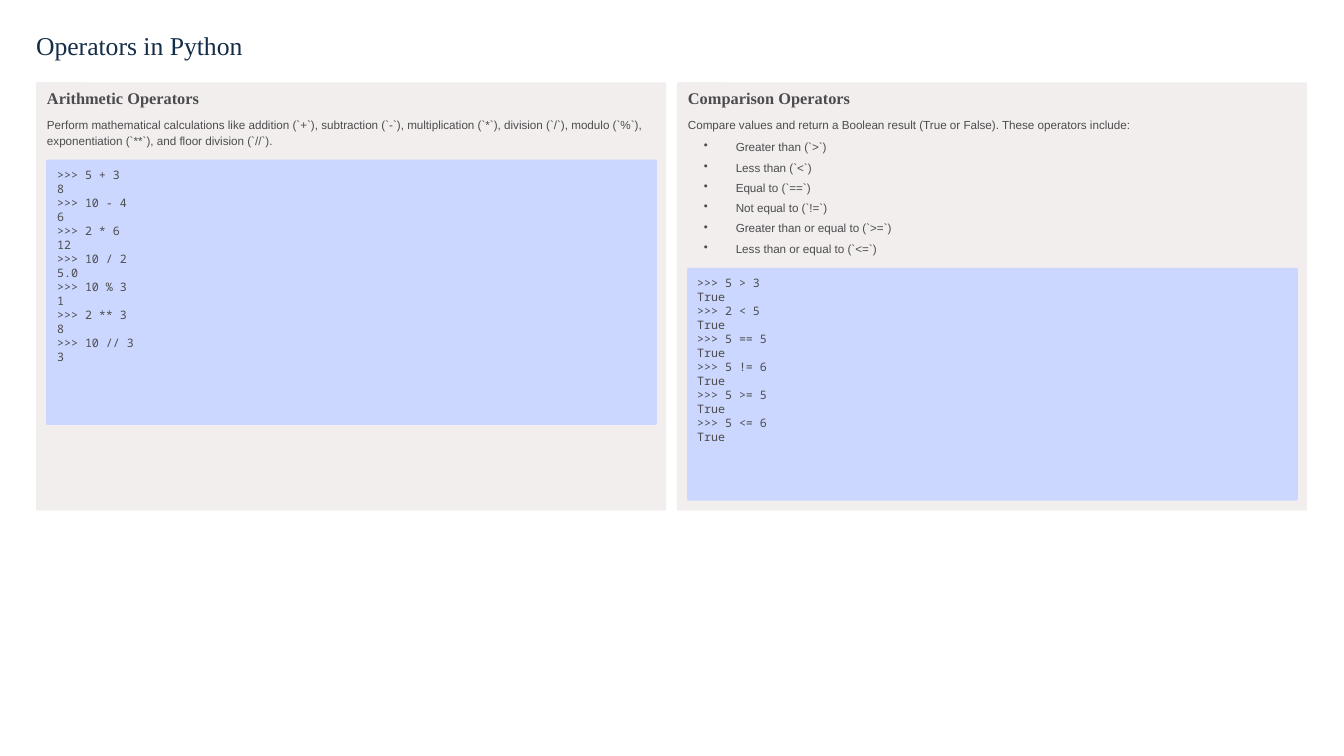
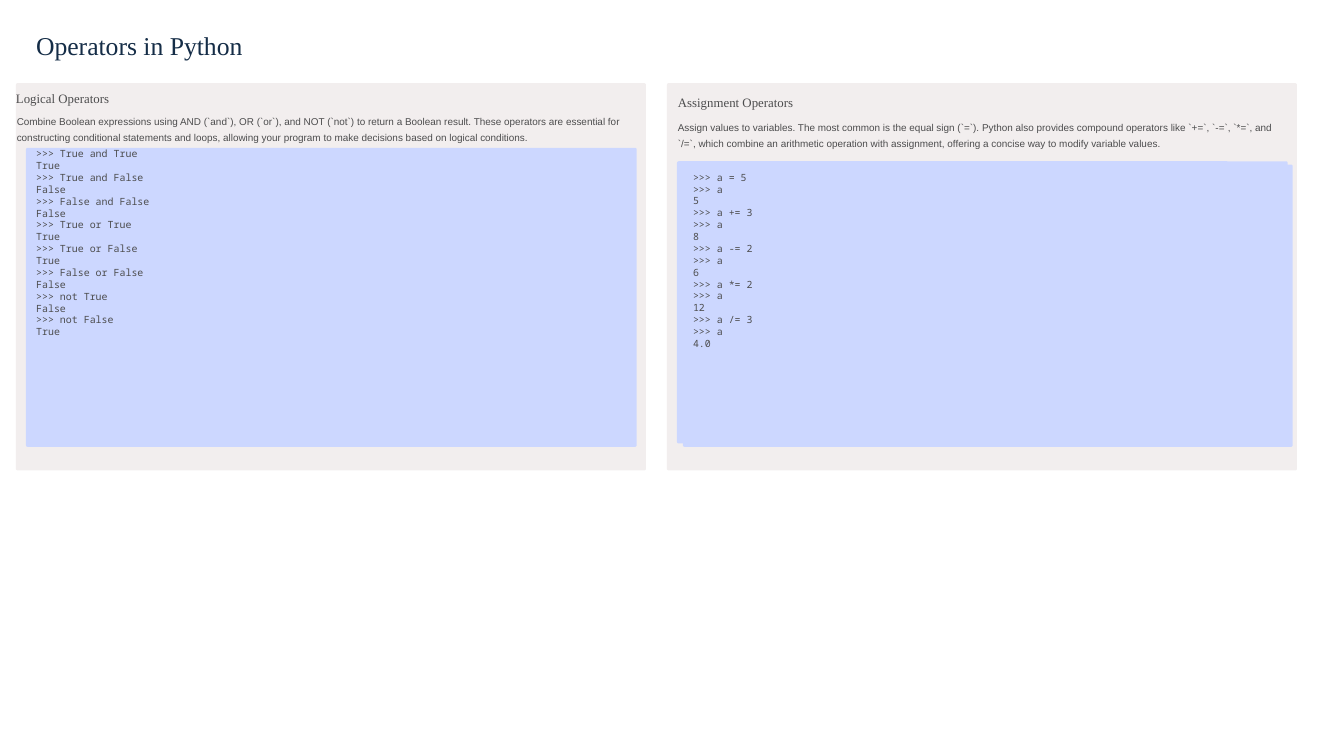
import lxml.etree
import pptx
import pptx.dml.color
import pptx.enum.shapes
import pptx.oxml.ns
import pptx.util

Inches = pptx.util.Inches
Pt = pptx.util.Pt
RGBColor = pptx.dml.color.RGBColor

# Shared style
NAVY = RGBColor(0x15, 0x2D, 0x47)
GRAY = RGBColor(0x4C, 0x4C, 0x4D)
PANEL_FILL = RGBColor(0xF2, 0xEE, 0xEE)
CODE_FILL = RGBColor(0xCC, 0xD7, 0xFF)
SERIF, SANS, MONO = "Times New Roman", "Arial", "Noto Sans Mono"
CORNER_RADIUS = 0.02
PANEL_WIDTH = 7.5
TEXT_WIDTH = 7.26
CODE_LEADING = 1.2

# Slide content: positions are left, top (and width, height for blocks)
ARITHMETIC = {
    "panel": (0.43, 0.98, PANEL_WIDTH, 5.1),
    "heading": "Arithmetic Operators",
    "heading_at": (0.56, 1.1),
    "text": "Perform mathematical calculations like addition (`+`), subtraction (`-`), "
            "multiplication (`*`), division (`/`), modulo (`%`), exponentiation (`**`), "
            "and floor division (`//`).",
    "text_at": (0.56, 1.37),
    "blocks": [(0.55, 1.9, 7.27, 3.16)],
    "code_at": (0.68, 2.0, 2.98),
    "code": """>>> 5 + 3
8
>>> 10 - 4
6
>>> 2 * 6
12
>>> 10 / 2
5.0
>>> 10 % 3
1
>>> 2 ** 3
8
>>> 10 // 3
3""",
}

COMPARISON = {
    "panel": (8.06, 0.98, PANEL_WIDTH, 5.1),
    "heading": "Comparison Operators",
    "heading_at": (8.19, 1.1),
    "text": "Compare values and return a Boolean result (True or False). "
            "These operators include:",
    "text_at": (8.19, 1.37),
    "bullets": ["Greater than (`>`)", "Less than (`<`)", "Equal to (`==`)",
                "Not equal to (`!=`)", "Greater than or equal to (`>=`)",
                "Less than or equal to (`<=`)"],
    "blocks": [(8.18, 3.19, 7.27, 2.77)],
    "code_at": (8.3, 3.28, 2.58),
    "code": """>>> 5 > 3
True
>>> 2 < 5
True
>>> 5 == 5
True
>>> 5 != 6
True
>>> 5 >= 5
True
>>> 5 <= 6
True""",
}

LOGICAL = {
    "panel": (0.19, 0.99, PANEL_WIDTH, 4.61),
    "heading": "Logical Operators",
    "heading_at": (0.19, 1.08),
    "text": "Combine Boolean expressions using AND (`and`), OR (`or`), and NOT (`not`) "
            "to return a Boolean result. These operators are essential for constructing "
            "conditional statements and loops, allowing your program to make decisions "
            "based on logical conditions.",
    "text_at": (0.2, 1.32),
    "blocks": [(0.31, 1.76, 7.27, 3.56)],
    "code_at": (0.43, 1.76, 3.37),
    "code": """>>> True and True
True
>>> True and False
False
>>> False and False
False
>>> True or True
True
>>> True or False
True
>>> False or False
False
>>> not True
False
>>> not False
True""",
}

ASSIGNMENT = {
    "panel": (7.94, 0.99, PANEL_WIDTH, 4.61),
    "heading": "Assignment Operators",
    "heading_at": (8.07, 1.12),
    "text": "Assign values to variables. The most common is the equal sign (`=`). "
            "Python also provides compound operators like `+=`, `-=`, `*=`, and `/=`, "
            "which combine an arithmetic operation with assignment, offering a concise "
            "way to modify variable values.",
    "text_at": (8.07, 1.39),
    "blocks": [(8.13, 1.96, 7.26, 3.36), (8.06, 1.92, 7.27, 3.36)],
    "code_at": (8.25, 2.04, 3.17),
    "code": """>>> a = 5
>>> a
5
>>> a += 3
>>> a
8
>>> a -= 2
>>> a
6
>>> a *= 2
>>> a
12
>>> a /= 3
>>> a
4.0""",
}


def add_block(page, left, top, width, height, color):
    """Add a borderless rectangle with slightly rounded corners."""
    block = page.shapes.add_shape(
        pptx.enum.shapes.MSO_SHAPE.ROUNDED_RECTANGLE,
        Inches(left), Inches(top), Inches(width), Inches(height))
    block.adjustments[0] = CORNER_RADIUS / min(width, height)
    block.shadow.inherit = False
    block.fill.solid()
    block.fill.fore_color.rgb = color
    block.line.fill.background()


def add_text(page, left, top, width, height, paragraphs, size, leading,
             font=SANS, color=GRAY, bold=False):
    """Add a text box without margins and return its paragraphs."""
    box = page.shapes.add_textbox(
        Inches(left), Inches(top), Inches(width), Inches(height))
    frame = box.text_frame
    frame.word_wrap = True
    frame.margin_left = frame.margin_right = 0
    frame.margin_top = frame.margin_bottom = 0
    for index, content in enumerate(paragraphs):
        para = frame.add_paragraph() if index else frame.paragraphs[0]
        para.text = content
        para.line_spacing = Pt(leading)
        para.font.name = font
        para.font.size = Pt(size)
        para.font.bold = bold
        para.font.color.rgb = color
    return frame.paragraphs


def add_bullets(page, left, top, items, size):
    """Add a bulleted list with a hanging indent."""
    for para in add_text(page, left, top, 7.06, 1.41, items, size, 14):
        para.space_after = Pt(3.4)
        properties = para._p.get_or_add_pPr()
        properties.set("marL", str(Inches(0.38)))
        properties.set("indent", str(-Inches(0.38)))
        bullet = lxml.etree.Element(pptx.oxml.ns.qn("a:buChar"), char="•")
        properties.find(pptx.oxml.ns.qn("a:defRPr")).addprevious(bullet)


def add_panel(page, content, heading_size, bold, text_size):
    """Add one operator group: heading, explanation and code sample."""
    add_block(page, *content["panel"], PANEL_FILL)
    add_text(page, *content["heading_at"], 2.0, 0.19, [content["heading"]],
             heading_size, 13.5, font=SERIF, bold=bold)
    add_text(page, *content["text_at"], TEXT_WIDTH, 0.4, [content["text"]],
             text_size, 14)
    if "bullets" in content:
        add_bullets(page, 8.38, 1.64, content["bullets"], text_size)
    for block in content["blocks"]:
        add_block(page, *block, CODE_FILL)
    left, top, height = content["code_at"]
    add_text(page, left, top, 7.02, height, [content["code"]],
             text_size, text_size * CODE_LEADING, font=MONO)


def add_page(deck, panels, heading_size, bold, text_size):
    """Add a titled slide with its panels."""
    page = deck.slides.add_slide(deck.slide_layouts[6])
    add_text(page, 0.43, 0.34, 3.1, 0.39, ["Operators in Python"], 22, 27.5,
             font=SERIF, color=NAVY)
    for content in panels:
        add_panel(page, content, heading_size, bold, text_size)


def main():
    deck = pptx.Presentation()
    deck.slide_width = Inches(16)
    deck.slide_height = Inches(9)
    add_page(deck, [ARITHMETIC, COMPARISON], heading_size=14, bold=True, text_size=10)
    add_page(deck, [LOGICAL, ASSIGNMENT], heading_size=11, bold=False, text_size=8.5)
    deck.save("out.pptx")


if __name__ == "__main__":
    main()
